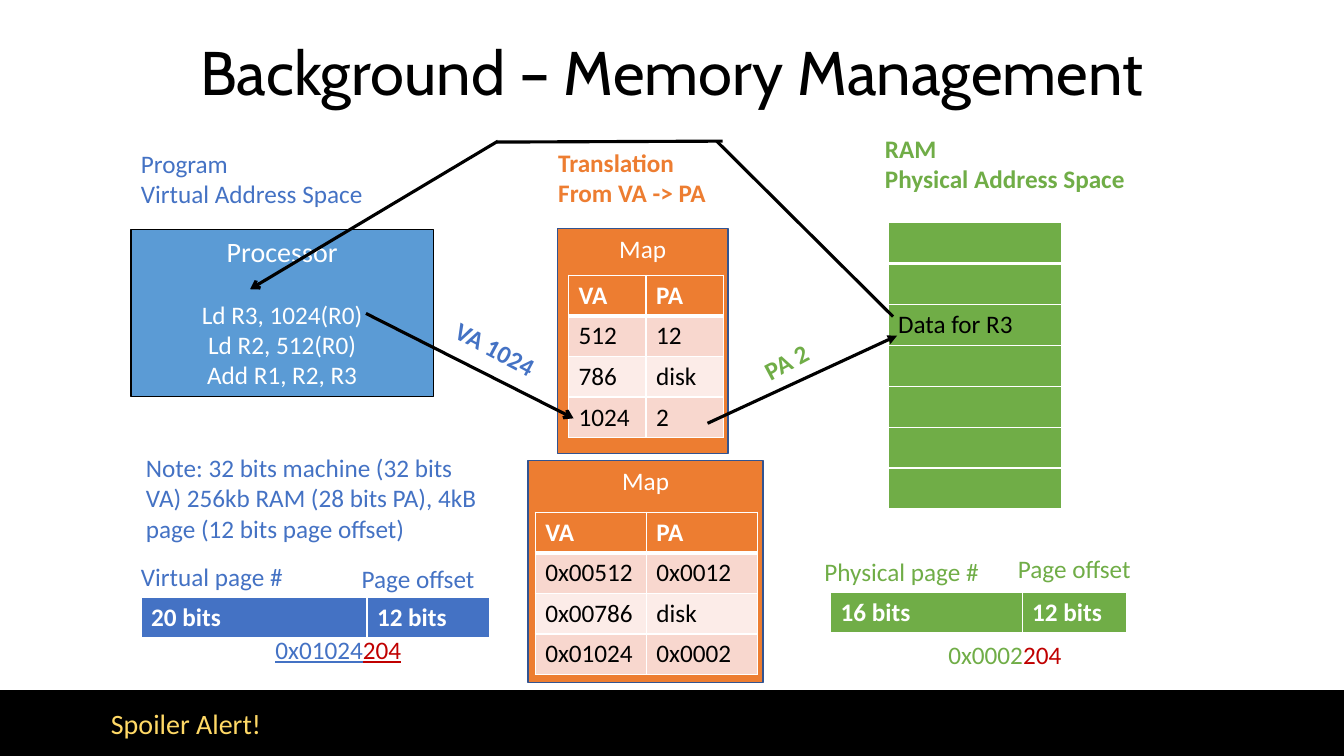
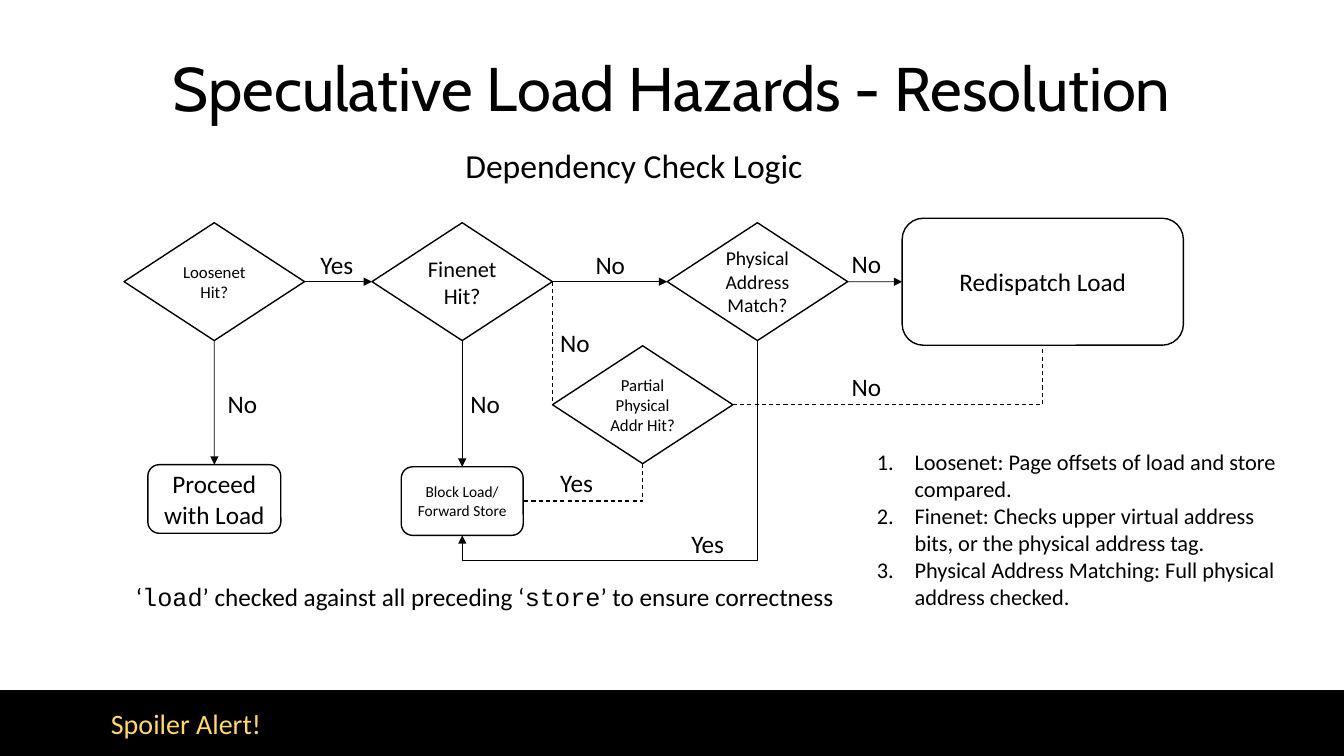
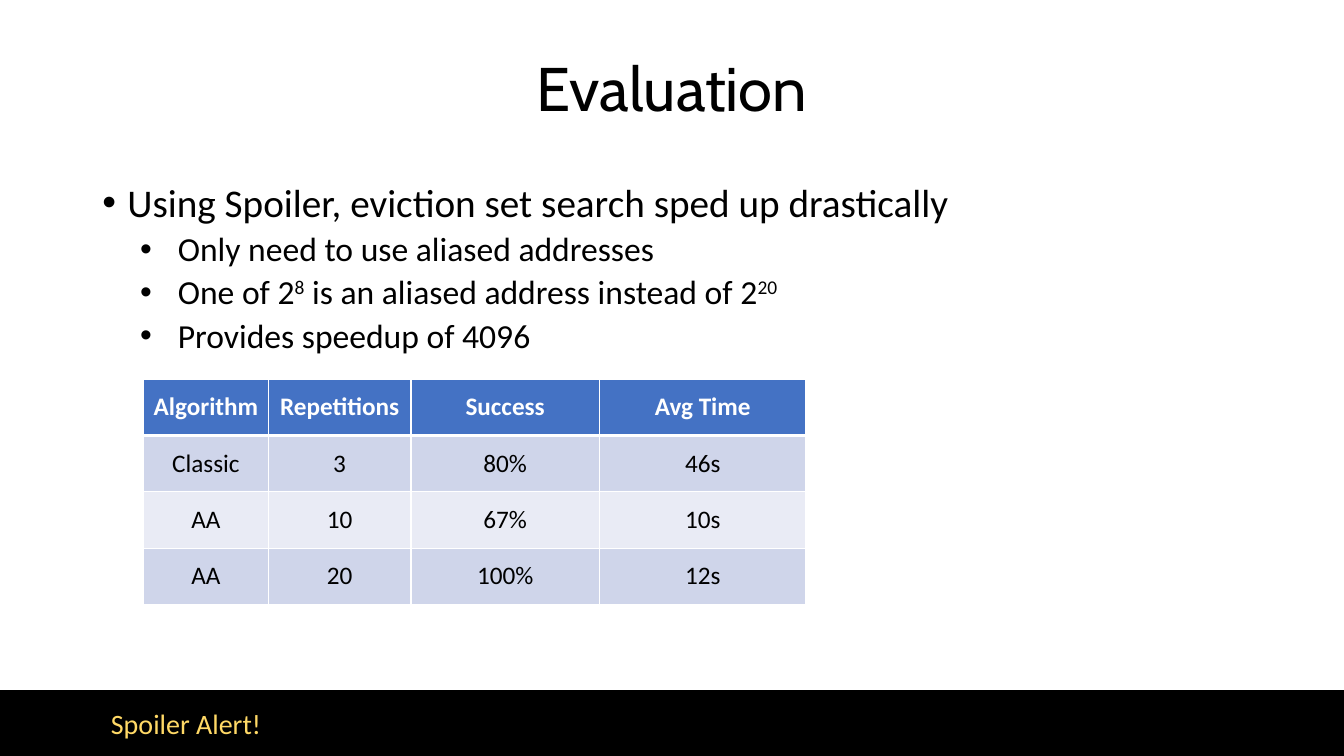
from lxml.etree import SubElement
from pptx import Presentation
from pptx.dml.color import RGBColor
from pptx.enum.dml import MSO_LINE
from pptx.enum.shapes import MSO_CONNECTOR as LINK, MSO_SHAPE as SHAPE
from pptx.enum.text import MSO_ANCHOR as ANCHOR, PP_ALIGN as ALIGN
from pptx.oxml.ns import qn
from pptx.util import Pt

COLORS = {
    "black": "000000", "white": "FFFFFF", "gold": "FFD966", "red": "C00000",
    "blue": "4472C4", "blue_band": "CFD5EA", "blue_pale": "E9EBF5",
    "sky": "5B9BD5", "navy": "325491", "green": "70AD47",
    "orange": "ED7D31", "orange_band": "F8D7CE", "orange_pale": "FCECE8",
}
BODY_FONT, TITLE_FONT, CODE_FONT = "Calibri", "Cabin", "Courier New"
TOP, LEFT, BOTTOM, RIGHT = range(4)
FOOTER = "Spoiler Alert!"

HEADINGS = [
    (["Program", "Virtual Address Space"], (93.6, 102.2, 216, 51), "blue", False),
    (["Translation", "From VA -> PA"], (391.7, 101.5, 146.2, 51), "orange", True),
    (["RAM", "Physical Address Space"], (625, 91.4, 188.6, 51), "green", True),
]
PROCESSOR_CODE = ["Ld R3, 1024(R0)", "Ld R2, 512(R0)", "Add R1, R2, R3"]
MAPS = [
    ((398.2, 163.4, 121.7, 160.6), (406.1, 196.6), 55.4,
     [["VA", "PA"], ["512", "12"], ["786", "disk"], ["1024", "2"]]),
    ((377.3, 329, 167.8, 158.4), (382.3, 365.8), 79.4,
     [["VA", "PA"], ["0x00512", "0x0012"], ["0x00786", "disk"], ["0x01024", "0x0002"]]),
]
RAM_ROWS = [[""], [""], ["Data for R3"], [""], [""], [""], [""]]
ADDRESS_LAYOUTS = [
    ("blue", (100.8, 427), [161.3, 87.8], ["20 bits", "12 bits"],
     [("Virtual page #", 93.6, 397.4), ("Page offset", 251.3, 398.9)]),
    ("green", (593.3, 423.4), [136.8, 74.9], ["16 bits", "12 bits"],
     [("Physical page #", 581.8, 393.8), ("Page offset", 720, 391.7)]),
]
ADDRESSES = [
    ([("0x01024", {"underline": True}), ("204", {"color": "red", "underline": True})],
     (162.7, 449.3, 131, 29), "blue", ALIGN.RIGHT),
    ([("0x0002", {}), ("204", {"color": "red"})],
     (670.3, 452.9, 129.6, 29), "green", ALIGN.LEFT),
]
NOTE = ("Note: 32 bits machine (32 bits VA) 256kb RAM (28 bits PA), "
        "4kB page (12 bits page offset)")
ACCESS_PATHS = [
    ((261.4, 223.9), (409.7, 298.8), "arrow"),
    ((505.4, 302.4), (640.8, 239.8), "triangle"),
    ((637.9, 226.1), (511.9, 100.8), None),
    ((516.2, 100.8), (355, 101.5), None),
    ((355.7, 100.8), (178.6, 206.6), "arrow"),
]
ACCESS_LABELS = [
    ("VA 1024", (316, 235.4, 79.2, 28.8), 28, "blue"),
    ("PA 2", (537, 239, 67.7, 28.8), -28, "green"),
]

DECISION_SIZE = (128.9, 84.2)
DECISIONS = {
    "loosenet": ("Loosenet Hit?", 88.6, 159.1, 12),
    "finenet": ("Finenet Hit?", 265.7, 159.1, 16),
    "physical": ("Physical Address Match?", 476.6, 159.1, 14),
    "partial": ("Partial Physical Addr Hit?", 394.6, 247, 12),
}
OUTCOMES = {
    "redispatch": (["Redispatch Load"], (644.4, 155.9, 200.9, 90.7), 18),
    "proceed": (["Proceed with Load"], (105.6, 331.9, 95, 49), 18),
    "block": (["Block Load/", "Forward Store"], (286.6, 333.4, 87.1, 49), 11),
}
FLOWS = [
    ("loosenet", RIGHT, "finenet", LEFT, False),
    ("finenet", RIGHT, "physical", LEFT, False),
    ("physical", RIGHT, "redispatch", LEFT, False),
    ("finenet", RIGHT, "partial", LEFT, True),
    ("loosenet", BOTTOM, "proceed", TOP, False),
    ("finenet", BOTTOM, "block", TOP, False),
]
BENT_FLOWS = [
    ("partial", RIGHT, "redispatch", BOTTOM, True, None),
    ("partial", BOTTOM, "block", RIGHT, True, None),
    ("physical", BOTTOM, "block", BOTTOM, False, 113000),
]
FLOW_LABELS = [
    ("Yes", 221.8, 174.2), ("No", 418.3, 174.2), ("No", 601.2, 173.5),
    ("No", 601.2, 261.4), ("Yes", 486.7, 373.7), ("Yes", 393.1, 330.5),
    ("No", 393.1, 230.4), ("No", 329, 273.6), ("No", 155.5, 273.6),
]
CHECKS = [
    "Loosenet: Page offsets of load and store compared.",
    "Finenet: Checks upper virtual address bits, or the physical address tag.",
    "Physical Address Matching: Full physical address checked.",
]
CODE = {"name": CODE_FONT}
CORRECTNESS = [("‘", {}), ("load", CODE), ("’ checked against all preceding ‘", {}),
               ("store", CODE), ("’ to ensure correctness", {})]

SPEEDUP = "Using Spoiler, eviction set search sped up drastically"
RAISED = {"baseline": 30000}
SPEEDUP_DETAILS = [
    "Only need to use aliased addresses",
    [("One of 2", {}), ("8", RAISED), (" is an aliased address instead of 2", {}),
     ("20", RAISED)],
    "Provides speedup of 4096",
]
RESULTS = [
    ["Algorithm", "Repetitions", "Success", "Avg Time"],
    ["Classic", "3", "80%", "46s"],
    ["AA", "10", "67%", "10s"],
    ["AA", "20", "100%", "12s"],
]


def rgb(color):
    return RGBColor.from_string(COLORS[color])


def set_font(font, size=None, color=None, bold=None, name=None, underline=None):
    if size:
        font.size = Pt(size)
    if color:
        font.color.rgb = rgb(color)
    if bold is not None:
        font.bold = bold
    if name:
        font.name = name
    if underline:
        font.underline = True


def add_bullet(paragraph, bullet, margin, indent):
    props = paragraph._p.get_or_add_pPr()
    props.set("marL", str(Pt(margin)))
    props.set("indent", str(Pt(indent)))
    if bullet == "1.":
        SubElement(props, qn("a:buAutoNum"), type="arabicPeriod")
    else:
        SubElement(props, qn("a:buFont"), typeface="Arial")
        SubElement(props, qn("a:buChar"), char=bullet)


def write_paragraph(paragraph, content, size=18, color="black", bold=False,
                    align=ALIGN.LEFT, name=BODY_FONT, bullet=None, before=0, spacing=None):
    if bullet:
        add_bullet(paragraph, *bullet)
    paragraph.alignment = align
    if before:
        paragraph.space_before = Pt(before)
    if spacing:
        paragraph.line_spacing = spacing
    set_font(paragraph.font, size, color, bold, name)
    for words, changes in [(content, {})] if isinstance(content, str) else content:
        run = paragraph.add_run()
        run.text = words
        changes = dict(changes)
        baseline = changes.pop("baseline", None)
        set_font(run.font, **changes)
        if baseline:
            run._r.get_or_add_rPr().set("baseline", str(baseline))


def write(frame, contents, anchor=ANCHOR.TOP, **style):
    frame.word_wrap = True
    frame.vertical_anchor = anchor
    for i, content in enumerate(contents):
        paragraph = frame.add_paragraph() if i else frame.paragraphs[0]
        write_paragraph(paragraph, content, **style)


def add_text(slide, contents, box, **style):
    text_box = slide.shapes.add_textbox(*map(Pt, box))
    write(text_box.text_frame, contents, **style)
    return text_box


def add_box(slide, kind, box, fill, outline, width=1):
    shape = slide.shapes.add_shape(kind, *map(Pt, box))
    shape.shadow.inherit = False
    shape.fill.solid()
    shape.fill.fore_color.rgb = rgb(fill)
    shape.line.color.rgb = rgb(outline)
    shape.line.width = Pt(width)
    return shape


def add_link(slide, kind, begin, end, width, tip=None, dashed=False):
    link = slide.shapes.add_connector(kind, *begin, *end)
    link.line.color.rgb = rgb("black")
    link.line.width = Pt(width)
    if dashed:
        link.line.dash_style = MSO_LINE.DASH
    if tip:
        SubElement(link.line._get_or_add_ln(), qn("a:tailEnd"), type=tip)
    SubElement(link._element.spPr, qn("a:effectLst"))
    return link


def add_grid(slide, origin, columns, row_height, rows, fills, bold_head=True,
             head_color="white", centred=False):
    frame = slide.shapes.add_table(len(rows), len(columns), *map(Pt, origin),
                                   Pt(sum(columns)), Pt(row_height * len(rows)))
    table = frame.table
    table.first_row = table.horz_banding = False
    for column, width in zip(table.columns, columns):
        column.width = Pt(width)
    for r, values in enumerate(rows):
        table.rows[r].height = Pt(row_height)
        fill = fills[0] if r == 0 else fills[1 + (r - 1) % 2]
        for c, value in enumerate(values):
            cell = table.cell(r, c)
            write_paragraph(cell.text_frame.paragraphs[0], value,
                            color="black" if r else head_color,
                            bold=bold_head and r == 0,
                            align=ALIGN.CENTER if centred else ALIGN.LEFT)
            if centred:
                cell.vertical_anchor = ANCHOR.MIDDLE
                cell.margin_left = cell.margin_right = 0
                cell.margin_top = cell.margin_bottom = 0
            props = cell._tc.get_or_add_tcPr()
            widths = {"L": 1, "R": 1, "T": 3 if r == 1 else 1, "B": 1 if r else 3}
            for edge, width in widths.items():
                border = SubElement(props, qn(f"a:ln{edge}"), w=str(Pt(width)))
                paint = SubElement(border, qn("a:solidFill"))
                SubElement(paint, qn("a:srgbClr"), val=COLORS["white"])
            cell.fill.solid()
            cell.fill.fore_color.rgb = rgb(fill)


def add_slide(deck, title, title_top=13):
    slide = deck.slides.add_slide(deck.slide_layouts[6])
    band = add_box(slide, SHAPE.RECTANGLE, (0, 493.2, 960, 46.8), "black", "black")
    band.text_frame.margin_left = Pt(79.2)
    write(band.text_frame, [FOOTER], ANCHOR.MIDDLE, size=20, color="gold")
    add_text(slide, [title], (66, title_top, 828, 104.4), anchor=ANCHOR.MIDDLE,
             size=44, name=TITLE_FONT, align=ALIGN.CENTER, spacing=0.9)
    return slide


def build_memory(deck):
    slide = add_slide(deck, "Background – Memory Management", 1.4)
    for lines, box, color, bold in HEADINGS:
        add_text(slide, lines, box, color=color, bold=bold)

    processor = add_box(slide, SHAPE.RECTANGLE, (93.6, 164.2, 216, 118.8), "sky", "black", 0.75)
    frame = processor.text_frame
    write(frame, ["Processor"], size=20, color="white", align=ALIGN.CENTER)
    for i, line in enumerate(PROCESSOR_CODE):
        write_paragraph(frame.add_paragraph(), line, color="white", align=ALIGN.CENTER,
                        before=0 if i else 22)

    for box, origin, column, rows in MAPS:
        panel = add_box(slide, SHAPE.RECTANGLE, box, "orange", "navy")
        write(panel.text_frame, ["Map"], color="white", align=ALIGN.CENTER)
        add_grid(slide, origin, [column] * 2, 29, rows,
                 ["orange", "orange_band", "orange_pale"])
    add_grid(slide, (634.3, 159.1), [123.8], 29.2, RAM_ROWS, ["green"] * 3, bold_head=False)

    for color, origin, columns, fields, labels in ADDRESS_LAYOUTS:
        add_grid(slide, origin, columns, 29.2, [fields], [color])
        for label, left, top in labels:
            add_text(slide, [label], (left, top, 132.5, 29), color=color)
    for runs, box, color, align in ADDRESSES:
        add_text(slide, [runs], box, color=color, align=align)
    add_text(slide, [NOTE], (97.2, 319.7, 256.3, 72.7), color="blue")

    for begin, end, tip in ACCESS_PATHS:
        add_link(slide, LINK.STRAIGHT, map(Pt, begin), map(Pt, end), 2.25, tip)
    for label, box, angle, color in ACCESS_LABELS:
        add_text(slide, [label], box, color=color, bold=True).rotation = angle


def side_middle(shape, side):
    across = {LEFT: 0, RIGHT: shape.width}.get(side, shape.width // 2)
    down = {TOP: 0, BOTTOM: shape.height}.get(side, shape.height // 2)
    return shape.left + across, shape.top + down


def add_bent_flow(slide, begin, end, turned, dashed, bend):
    if turned:
        (x1, y1), (x2, y2) = begin, end
        mid_x, mid_y = (x1 + x2) // 2, (y1 + y2) // 2
        half_w, half_h = abs(y2 - y1) // 2, abs(x2 - x1) // 2
        begin, end = (mid_x - half_w, mid_y - half_h), (mid_x + half_w, mid_y + half_h)
    link = add_link(slide, LINK.ELBOW, begin, end, 0.75 if dashed else 0.5,
                    None if dashed else "triangle", dashed)
    props = link._element.spPr
    if turned:
        props.find(qn("a:xfrm")).set("rot", "5400000")
    outline = props.find(qn("a:prstGeom"))
    if bend:
        SubElement(outline.find(qn("a:avLst")), qn("a:gd"), name="adj1", fmla=f"val {bend}")
    else:
        outline.set("prst", "bentConnector2")


def build_hazards(deck):
    slide = add_slide(deck, "Speculative Load Hazards - Resolution")
    add_text(slide, ["Dependency Check Logic"], (308.2, 100.1, 289.4, 36),
             size=24, align=ALIGN.CENTER)
    steps = [(key, SHAPE.DIAMOND, [words], (left, top, *DECISION_SIZE), size)
             for key, (words, left, top, size) in DECISIONS.items()]
    steps += [(key, SHAPE.ROUNDED_RECTANGLE, *outcome) for key, outcome in OUTCOMES.items()]
    nodes = {}
    for key, kind, lines, box, size in steps:
        nodes[key] = add_box(slide, kind, box, "white", "black")
        write(nodes[key].text_frame, lines, ANCHOR.MIDDLE, size=size, align=ALIGN.CENTER)

    for source, out_side, target, in_side, dashed in FLOWS:
        begin, end = nodes[source], nodes[target]
        link = add_link(slide, LINK.STRAIGHT, side_middle(begin, out_side),
                        side_middle(end, in_side), 0.75 if dashed else 0.5,
                        None if dashed else "triangle", dashed)
        link.begin_connect(begin, out_side)
        link.end_connect(end, in_side)
    for source, out_side, target, in_side, dashed, bend in BENT_FLOWS:
        add_bent_flow(slide, side_middle(nodes[source], out_side),
                      side_middle(nodes[target], in_side), out_side == BOTTOM, dashed, bend)
    for label, left, top in FLOW_LABELS:
        add_text(slide, [label], (left, top, 48.2, 29))

    add_text(slide, CHECKS, (583.2, 316.8, 337.7, 143.3), size=16, bullet=("1.", 63, -27))
    add_text(slide, [CORRECTNESS], (90, 411.8, 535, 51))


def build_evaluation(deck):
    slide = add_slide(deck, "Evaluation")
    body = add_text(slide, [SPEEDUP], (66, 127.4, 828, 333.4), size=28,
                    bullet=("•", 18, -18), spacing=0.9)
    for detail in SPEEDUP_DETAILS:
        write_paragraph(body.text_frame.add_paragraph(), detail, size=24,
                        bullet=("•", 54, -27), before=5, spacing=0.9)
    add_grid(slide, (102.6, 270.7), [89, 102, 134.6, 147.6], 40.3, RESULTS,
             ["blue", "blue_band", "blue_pale"], centred=True)


def main():
    deck = Presentation()
    deck.slide_width, deck.slide_height = Pt(960), Pt(540)
    build_memory(deck)
    build_hazards(deck)
    build_evaluation(deck)
    deck.save("out.pptx")


if __name__ == "__main__":
    main()
